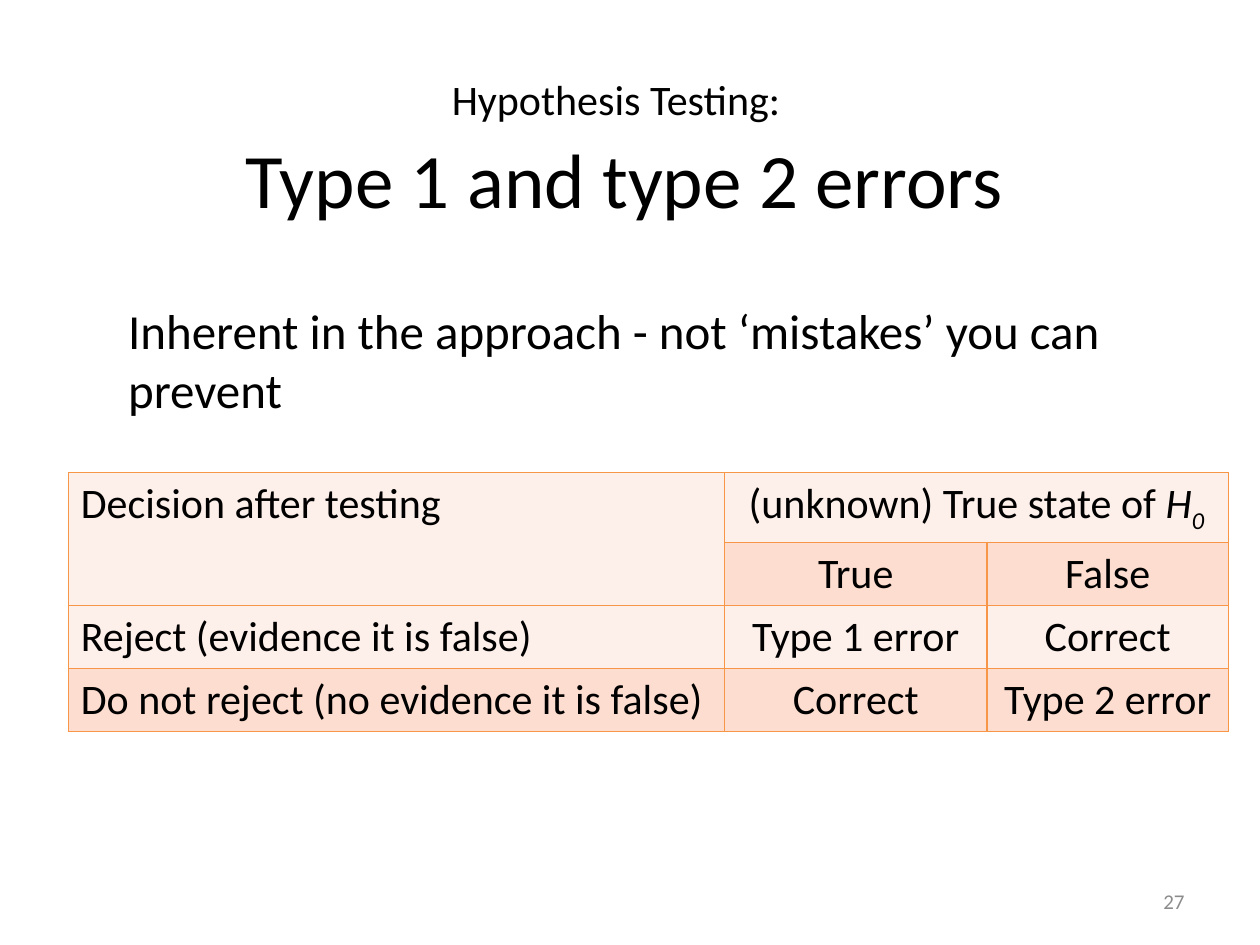
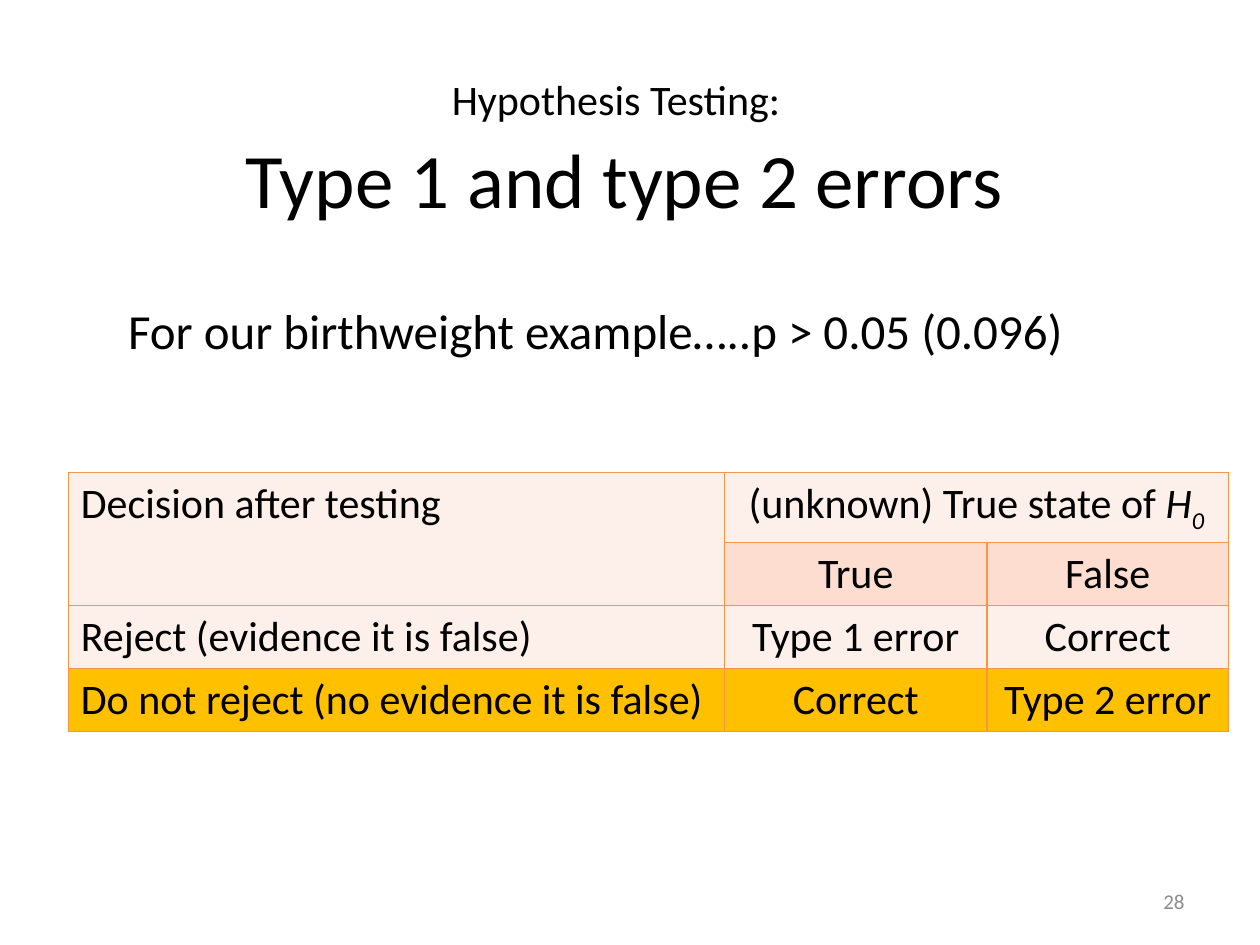
from lxml import etree
from pptx import Presentation
from pptx.dml.color import RGBColor
from pptx.enum.text import MSO_ANCHOR, PP_ALIGN
from pptx.oxml.ns import qn
from pptx.util import Pt

LEFT, CENTER, RIGHT = PP_ALIGN.LEFT, PP_ALIGN.CENTER, PP_ALIGN.RIGHT
TOP, MIDDLE = MSO_ANCHOR.TOP, MSO_ANCHOR.MIDDLE

FONT = "Calibri"
COLORS = {
    "text": "000000",
    "number": "8C8C8C",
    "border": "F79646",
    "light": "FDEFE9",
    "dark": "FCDDCF",
    "highlight": "FFC000",
}
COLUMN_WIDTHS = (375, 150, 138)
ROW_HEIGHT = 29.5
TABLE_ROWS = (
    ("Decision after testing", "(unknown) True state of ", None),
    (None, "True", "False"),
    ("Reject (evidence it is false)", "Type 1 error", "Correct"),
    ("Do not reject (no evidence it is false)", "Correct", "Type 2 error"),
)


def rgb(name):
    return RGBColor.from_string(COLORS[name])


def add_span(para, text, size=24, color="text", italic=False, baseline=None):
    span = para.add_run()
    span.text = text
    span.font.name = FONT
    span.font.size = Pt(size)
    span.font.color.rgb = rgb(color)
    span.font.italic = italic
    if baseline is not None:
        span.font._element.set("baseline", str(baseline * 1000))


def add_box(page, left, top, width, height, align=LEFT, anchor=TOP, indent=0):
    """Add a wrapping text box and return its first paragraph."""
    box = page.shapes.add_textbox(Pt(left), Pt(top), Pt(width), Pt(height))
    frame = box.text_frame
    frame.word_wrap = True
    frame.vertical_anchor = anchor
    frame.margin_left = Pt(7.2 + indent)
    para = frame.paragraphs[0]
    para.alignment = align
    return para


def add_title(page, topic, title):
    para = add_box(page, 24, 18, 666, 114, align=CENTER, anchor=MIDDLE)
    add_span(para, topic)
    add_span(para, " ", size=44)
    para.add_line_break()
    add_span(para, title, size=44)


def add_statement(page, text):
    para = add_box(page, 39, 168, 636, 78, indent=27)
    add_span(para, text, size=28)


def add_page_number(page, number):
    para = add_box(page, 516, 500.5, 168, 28.75, align=RIGHT, anchor=MIDDLE)
    add_span(para, str(number), size=12, color="number")


def set_borders(cell, color, width=1):
    properties = cell._tc.get_or_add_tcPr()
    for position, side in enumerate(("lnL", "lnR", "lnT", "lnB")):
        line = etree.Element(qn(f"a:{side}"), w=str(Pt(width)))
        fill = etree.SubElement(line, qn("a:solidFill"))
        etree.SubElement(fill, qn("a:srgbClr"), val=COLORS[color])
        properties.insert(position, line)


def add_error_table(page, last_row_fill):
    frame = page.shapes.add_table(
        len(TABLE_ROWS), len(COLUMN_WIDTHS), Pt(39), Pt(270),
        Pt(sum(COLUMN_WIDTHS)), Pt(ROW_HEIGHT * len(TABLE_ROWS)))
    table = frame.table
    table.first_row = table.horz_banding = False
    for column, width in zip(table.columns, COLUMN_WIDTHS):
        column.width = Pt(width)

    # Header spans: decision over two rows, true state over two columns
    table.cell(0, 0).merge(table.cell(1, 0))
    table.cell(0, 1).merge(table.cell(0, 2))

    row_fills = ("light", "dark", "light", last_row_fill)
    for r, (texts, fill) in enumerate(zip(TABLE_ROWS, row_fills)):
        table.rows[r].height = Pt(ROW_HEIGHT)
        for c, text in enumerate(texts):
            cell = table.cell(r, c)
            set_borders(cell, "border")
            cell.fill.solid()
            cell.fill.fore_color.rgb = rgb(fill)
            if text:
                para = cell.text_frame.paragraphs[0]
                para.alignment = CENTER if c else LEFT
                add_span(para, text)

    # Null hypothesis symbol
    state = table.cell(0, 1).text_frame.paragraphs[0]
    add_span(state, "H", italic=True)
    add_span(state, "0", italic=True, baseline=-25)


def add_errors_page(deck, number, statement, last_row_fill):
    page = deck.slides.add_slide(deck.slide_layouts[6])
    add_statement(page, statement)
    add_page_number(page, number)
    add_title(page, "Hypothesis Testing:", "Type 1 and type 2 errors")
    add_error_table(page, last_row_fill)


def main():
    deck = Presentation()
    deck.slide_width, deck.slide_height = Pt(720), Pt(540)
    add_errors_page(
        deck, 27, "Inherent in the approach - not ‘mistakes’ you can prevent", "dark")
    add_errors_page(
        deck, 28, "For our birthweight example…..p > 0.05 (0.096)", "highlight")
    deck.save("out.pptx")


if __name__ == "__main__":
    main()
